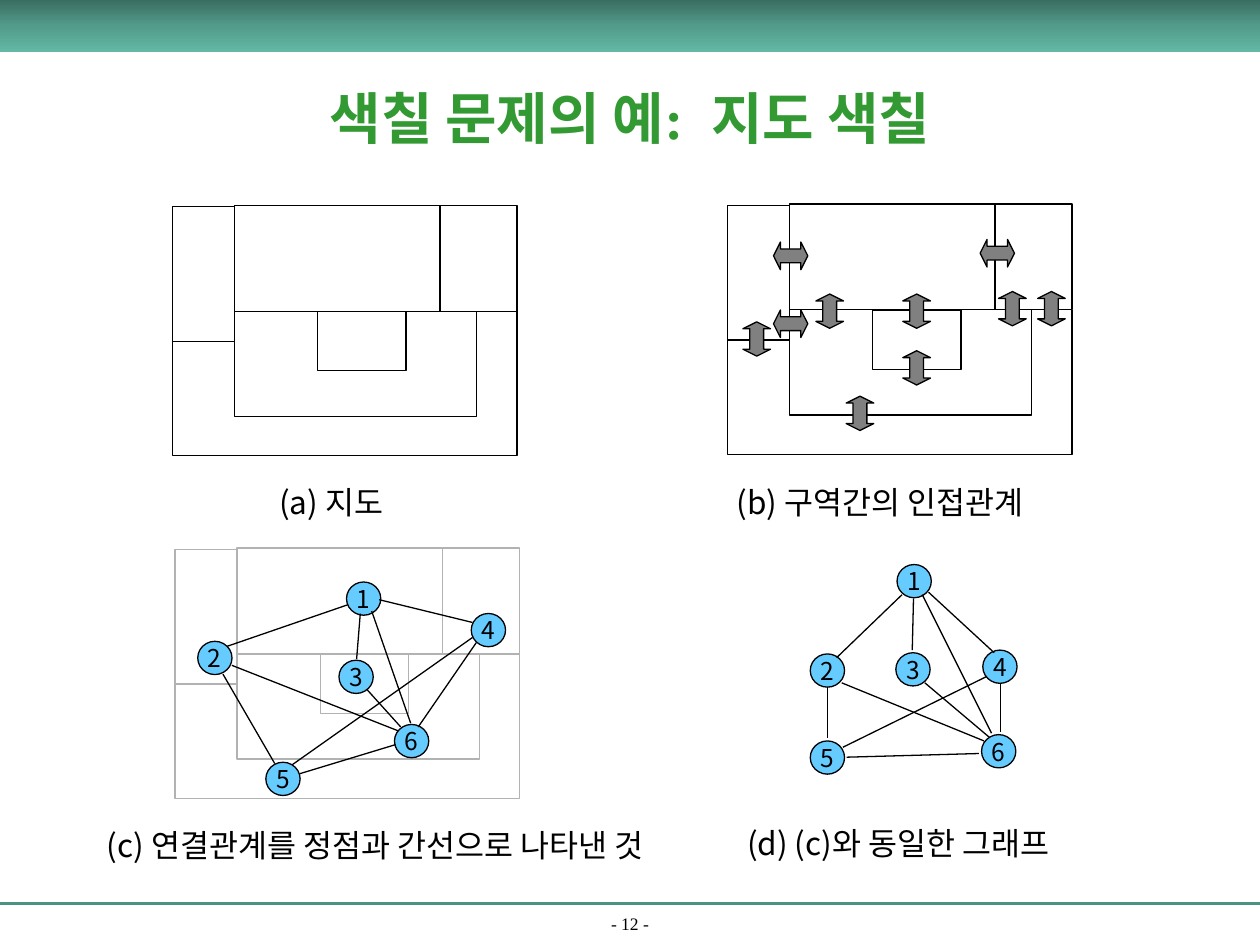
from copy import deepcopy
from dataclasses import dataclass

from pptx import Presentation
from pptx.dml.color import RGBColor
from pptx.enum.shapes import MSO_CONNECTOR, MSO_SHAPE
from pptx.enum.text import MSO_ANCHOR, MSO_AUTO_SIZE, PP_ALIGN
from pptx.oxml.ns import qn
from pptx.util import Pt

SANS = "Noto Sans CJK KR"
SERIF = "Times New Roman"
BLACK, WHITE = "000000", "FFFFFF"
NODE_SIZE = (19.6, 19)
ARROW_SIZE = (19.6, 15.8)

# Regions of the map, relative to its top left corner
REGIONS = [(35.5, 0, 117.5, 60.5), (83, 60.5, 50.5, 34),
           (0, 0.7, 35.5, 77), (153, 0, 44, 60.5)]
OUTLINES = [[(35.5, 77), (35.5, 120.5), (174, 120.5), (174, 60.5)],
            [(0, 76), (0, 143), (197, 143), (197, 60.5)]]


@dataclass
class Graph:
    nodes: dict[str, tuple[float, float]]
    edges: list[tuple[float, float, float, float]]


@dataclass
class Caption:
    text: str
    box: tuple[float, float, float, float]
    fill: str | None = None


MAP_GRAPH = Graph(
    {"1": (198, 332.6), "3": (193.7, 377.3), "6": (225.4, 414),
     "4": (269.3, 350.6), "2": (113, 366.5), "5": (151.9, 435.6)},
    [(205.9, 350.6, 203.8, 376.6), (167, 437, 270, 364.3),
     (127.4, 385.2, 157, 436.3), (209.5, 393.8, 229, 415.4),
     (272.2, 367.2, 239, 415.4), (171.4, 442.1, 226.1, 425.5),
     (129.6, 369.4, 198.7, 345.6), (216.7, 342.7, 270, 355.7),
     (234.7, 413.3, 212.4, 349.2), (132.5, 380.2, 227.5, 417.6)])

PLAIN_GRAPH = Graph(
    {"1": (512.6, 322.6), "3": (511.9, 373), "6": (560.9, 419.8),
     "4": (561.6, 371.5), "2": (463, 373.7), "5": (463, 423.4)},
    [(522, 342, 521.3, 371.5), (481.7, 427, 563.8, 386.6),
     (473, 392.4, 473, 421.9), (528.5, 390.2, 565.2, 421.2),
     (571.7, 390.2, 571.7, 418.3), (483.8, 432.7, 559.4, 430.6),
     (478.1, 375.8, 515.5, 339.8), (530.6, 338.4, 568.1, 373),
     (566.6, 419, 527, 339.8), (481, 390.2, 562.3, 423.4)])

# Arrow centres
ACROSS = [(451.8, 146.2), (569.9, 144.7), (451.8, 185)]
UP_DOWN = [(474.1, 177.8), (523.8, 177.8), (600.8, 176.4), (432.4, 193.7),
           (523.8, 210.2), (578.5, 176.4), (491.4, 236.2)]

CAPTIONS = [
    Caption("(a) 지도", (152.6, 272.2, 80, 28.8)),
    Caption("(b) 구역간의 인접관계", (414, 272.2, 195, 28.8)),
    Caption("(c) 연결관계를 정점과 간선으로 나타낸 것", (54, 468.7, 356.4, 28.8), WHITE),
    Caption("(d) (c)와 동일한 그래프", (419.8, 467.3, 206.6, 28.8), WHITE),
]


def color(value: str) -> RGBColor:
    return RGBColor.from_string(value)


def points(*values: float) -> list[int]:
    return [Pt(value) for value in values]


def style(shape, fill: str | None, line: str | None) -> None:
    shape.shadow.inherit = False
    if fill:
        shape.fill.solid()
        shape.fill.fore_color.rgb = color(fill)
    else:
        shape.fill.background()
    if line:
        shape.line.color.rgb = color(line)
        shape.line.width = Pt(0.75)
    else:
        shape.line.fill.background()


def add_shape(slide, kind, box, fill: str | None, line: str | None):
    shape = slide.shapes.add_shape(kind, *points(*box))
    style(shape, fill, line)
    return shape


def add_line(slide, ends, line: str = BLACK, width: float = 0.75) -> None:
    connector = slide.shapes.add_connector(MSO_CONNECTOR.STRAIGHT, *points(*ends))
    connector.line.color.rgb = color(line)
    connector.line.width = Pt(width)
    properties = connector._element.spPr
    properties.append(properties.makeelement(qn("a:effectLst"), {}))


def write(shape, text: str, size: float, font_name: str = SANS, ink: str = BLACK,
          align=PP_ALIGN.CENTER, anchor=MSO_ANCHOR.MIDDLE, wrap: bool = False,
          bold: bool = False) -> None:
    frame = shape.text_frame
    frame.word_wrap = wrap
    frame.vertical_anchor = anchor
    paragraph = frame.paragraphs[0]
    paragraph.alignment = align
    run = paragraph.add_run()
    run.text = text
    font = run.font
    font.name, font.size, font.bold = font_name, Pt(size), bold
    font.color.rgb = color(ink)
    properties = run._r.get_or_add_rPr()
    properties.append(properties.makeelement(qn("a:ea"), {"typeface": SANS}))


def add_header(slide) -> None:
    band = add_shape(slide, MSO_SHAPE.RECTANGLE, (0, 0, 720, 30), None, None)
    band.fill.gradient()
    band.fill.gradient_angle = 270
    stop_list = band._element.spPr.find(qn("a:gradFill")).find(qn("a:gsLst"))
    stop_list.insert(1, deepcopy(stop_list[0]))
    shades = [(0, "3A6D62"), (0.5, "539C8B"), (1, "62B9A5")]
    for stop, (position, shade) in zip(band.fill.gradient_stops, shades):
        stop.position = position
        stop.color.rgb = color(shade)


def add_footer(slide) -> None:
    add_line(slide, (0, 516.2, 720, 516.2), "4C9282", 1.5)
    page = slide.shapes.add_textbox(*points(0, 521.3, 720, 15.8))
    write(page, "- 12 -", 10, SERIF, anchor=MSO_ANCHOR.BOTTOM, wrap=True)


def add_title(slide, text: str) -> None:
    title = slide.shapes.title
    title.left, title.top, title.width, title.height = points(54, 36, 612, 62)
    title.text_frame.auto_size = MSO_AUTO_SIZE.NONE
    write(title, text, 32, SERIF, "339933", wrap=True, bold=True)


def add_map(slide, left: float, top: float, line: str = BLACK) -> None:
    for x, y, width, height in REGIONS:
        add_shape(slide, MSO_SHAPE.RECTANGLE, (left + x, top + y, width, height), None, line)
    for outline in OUTLINES:
        start, *rest = [tuple(points(left + x, top + y)) for x, y in outline]
        builder = slide.shapes.build_freeform(*start)
        builder.add_line_segments(rest, close=False)
        style(builder.convert_to_shape(), None, line)


def add_graph(slide, graph: Graph) -> None:
    for label, corner in graph.nodes.items():
        node = add_shape(slide, MSO_SHAPE.OVAL, (*corner, *NODE_SIZE), "66CCFF", BLACK)
        write(node, label, 14)
    for edge in graph.edges:
        add_line(slide, edge)


def add_arrow(slide, center: tuple[float, float], rotation: float) -> None:
    width, height = ARROW_SIZE
    box = (center[0] - width / 2, center[1] - height / 2, width, height)
    arrow = add_shape(slide, MSO_SHAPE.LEFT_RIGHT_ARROW, box, "808080", BLACK)
    arrow.adjustments[0], arrow.adjustments[1] = 0.5, 0.25
    arrow.rotation = rotation


def add_caption(slide, caption: Caption) -> None:
    box = slide.shapes.add_textbox(*points(*caption.box))
    if caption.fill:
        box.fill.solid()
        box.fill.fore_color.rgb = color(caption.fill)
    box.text_frame.auto_size = MSO_AUTO_SIZE.SHAPE_TO_FIT_TEXT
    write(box, caption.text, 18, align=PP_ALIGN.LEFT, anchor=MSO_ANCHOR.TOP)


def main() -> None:
    presentation = Presentation()
    presentation.slide_width, presentation.slide_height = points(720, 540)
    slide = presentation.slides.add_slide(presentation.slide_layouts[5])
    add_footer(slide)
    add_header(slide)
    add_title(slide, "색칠 문제의 예:  지도 색칠")
    add_map(slide, 100, 313.2, "B2B2B2")
    add_graph(slide, MAP_GRAPH)
    add_graph(slide, PLAIN_GRAPH)
    add_map(slide, 98.5, 117.4)
    add_map(slide, 415.6, 116.6)
    for rotation, centers in ((0, ACROSS), (90, UP_DOWN)):
        for center in centers:
            add_arrow(slide, center, rotation)
    for caption in CAPTIONS:
        add_caption(slide, caption)
    presentation.save("out.pptx")


if __name__ == "__main__":
    main()
